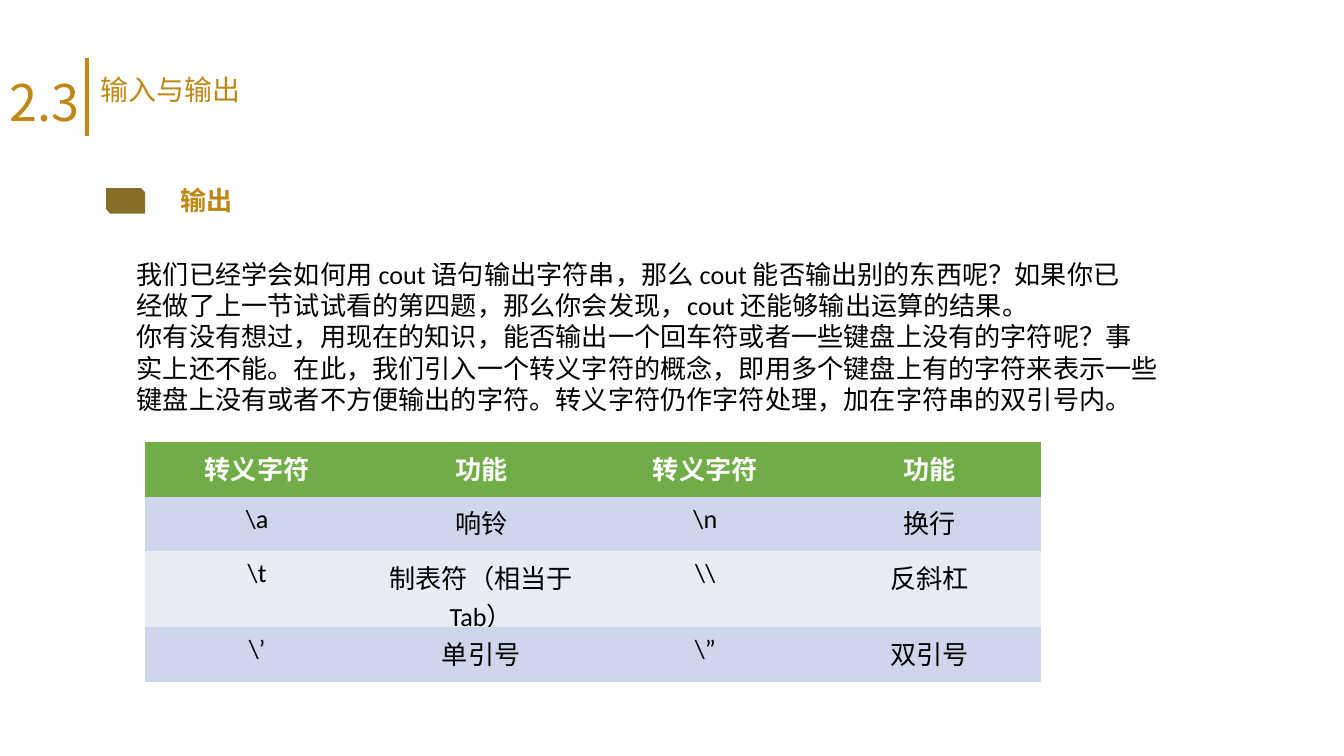
import pptx
import pptx.util
import pptx.dml.color
import pptx.enum.shapes
import pptx.enum.text
import pptx.oxml.ns
import lxml.etree

Inches = pptx.util.Inches
Pt = pptx.util.Pt
Color = pptx.dml.color.RGBColor
Align = pptx.enum.text.PP_ALIGN
qn = pptx.oxml.ns.qn

GOLD = Color(0xBF, 0x87, 0x14)
BROWN = Color(0x88, 0x6D, 0x27)
GREEN = Color(0x70, 0xAD, 0x47)
BLUE = Color(0xCF, 0xD5, 0xEA)
PALE = Color(0xE9, 0xEB, 0xF5)
BLACK = Color(0, 0, 0)
WHITE = Color(0xFF, 0xFF, 0xFF)
SANS = "Noto Sans CJK SC"
LATIN = "Calibri"

BODY = [
    "我们已经学会如何用 cout 语句输出字符串，那么 cout 能否输出别的东西呢？如果你已",
    "经做了上一节试试看的第四题，那么你会发现，cout 还能够输出运算的结果。",
    "你有没有想过，用现在的知识，能否输出一个回车符或者一些键盘上没有的字符呢？事",
    "实上还不能。在此，我们引入一个转义字符的概念，即用多个键盘上有的字符来表示一些",
    "键盘上没有或者不方便输出的字符。转义字符仍作字符处理，加在字符串的双引号内。",
]
ROWS = [
    ["转义字符", "功能", "转义字符", "功能"],
    ["\\a", "响铃", "\\n", "换行"],
    ["\\t", "制表符（相当于 Tab）", "\\\\", "反斜杠"],
    ["\\’", "单引号", "\\”", "双引号"],
]


class Deck:
    def __init__(self, wide, ratio):
        self.prs = pptx.Presentation()
        self.prs.slide_width = Inches(wide)
        self.prs.slide_height = Inches(wide / ratio)
        self.slide = self.prs.slides.add_slide(self.prs.slide_layouts[5])
        self.shapes = self.slide.shapes

    def style(self, frame, size, color, font=SANS, bold=False,
              align=Align.LEFT, space=None):
        for para in frame.paragraphs:
            para.alignment = align
            if space:
                para.line_spacing = Pt(space)
            for run in para.runs:
                face = run.font
                face.size, face.bold, face.name = Pt(size), bold, font
                face.color.rgb = color
                # East Asian glyphs need their own typeface entry
                east = lxml.etree.SubElement(run._r.get_or_add_rPr(), qn("a:ea"))
                east.set("typeface", SANS)

    def title(self, text, box, size):
        shape = self.shapes.title
        shape.left, shape.top, shape.width, shape.height = map(Inches, box)
        frame = shape.text_frame
        frame.text = text
        frame.word_wrap = False
        frame.auto_size = pptx.enum.text.MSO_AUTO_SIZE.NONE
        frame.vertical_anchor = pptx.enum.text.MSO_ANCHOR.TOP
        self.style(frame, size, GOLD)

    def text(self, text, box, size, color, wrap=True, inset=None, **look):
        frame = self.shapes.add_textbox(*map(Inches, box)).text_frame
        frame.text = text
        frame.word_wrap = wrap
        if inset:
            frame.margin_left = frame.margin_right = Inches(inset[0])
            frame.margin_top = frame.margin_bottom = Inches(inset[1])
        self.style(frame, size, color, **look)

    def line(self, x1, y1, x2, y2, color, width):
        kind = pptx.enum.shapes.MSO_CONNECTOR.STRAIGHT
        line = self.shapes.add_connector(kind, *map(Inches, (x1, y1, x2, y2)))
        line.line.color.rgb = color
        line.line.width = Pt(width)
        lxml.etree.SubElement(line._element.spPr, qn("a:effectLst"))

    def shape(self, kind, box, color):
        shape = self.shapes.add_shape(kind, *map(Inches, box))
        shape.shadow.inherit = False
        shape.fill.solid()
        shape.fill.fore_color.rgb = color
        shape.line.fill.background()

    def table(self, rows, box, size):
        grid = self.shapes.add_table(
            len(rows), len(rows[0]), *map(Inches, box)).table
        # Drop the built-in style so that no cell borders show
        plain = "{2D5ABB26-0587-4C30-8999-92F81FD0307C}"
        grid._tbl.tblPr.find(qn("a:tableStyleId")).text = plain
        for r, row in enumerate(rows):
            head = r == 0
            for c, text in enumerate(row):
                cell = grid.cell(r, c)
                cell.text_frame.text = text
                cell.fill.solid()
                cell.fill.fore_color.rgb = GREEN if head else (PALE, BLUE)[r % 2]
                self.style(cell.text_frame, size, WHITE if head else BLACK,
                           LATIN, head, Align.CENTER)


def main():
    deck = Deck(10, 16 / 9)
    tight = (0.07, 0.04)

    # Heading
    deck.title("输入与输出", (0.65, 0.49, 1.25, 0.35), 15)
    deck.text("2.3", (0, 0.49, 0.69, 0.53), 27, GOLD, wrap=False, inset=tight)
    deck.line(0.65, 0.43, 0.65, 1.01, GOLD, 2.25)

    # Section label
    snip = pptx.enum.shapes.MSO_SHAPE.SNIP_2_DIAG_RECTANGLE
    deck.shape(snip, (0.79, 1.4, 0.29, 0.19), BROWN)
    deck.text("输出", (1.27, 1.33, 2.74, 0.31), 14, GOLD, inset=tight, bold=True)

    # Body and table of escapes
    deck.text("\n".join(BODY), (0.92, 1.87, 8.43, 1.28), 14, BLACK,
              font=LATIN, space=16.8)
    deck.table(ROWS, (1.08, 3.29, 6.67, 1.62), 14)

    deck.prs.save("out.pptx")


if __name__ == "__main__":
    main()
